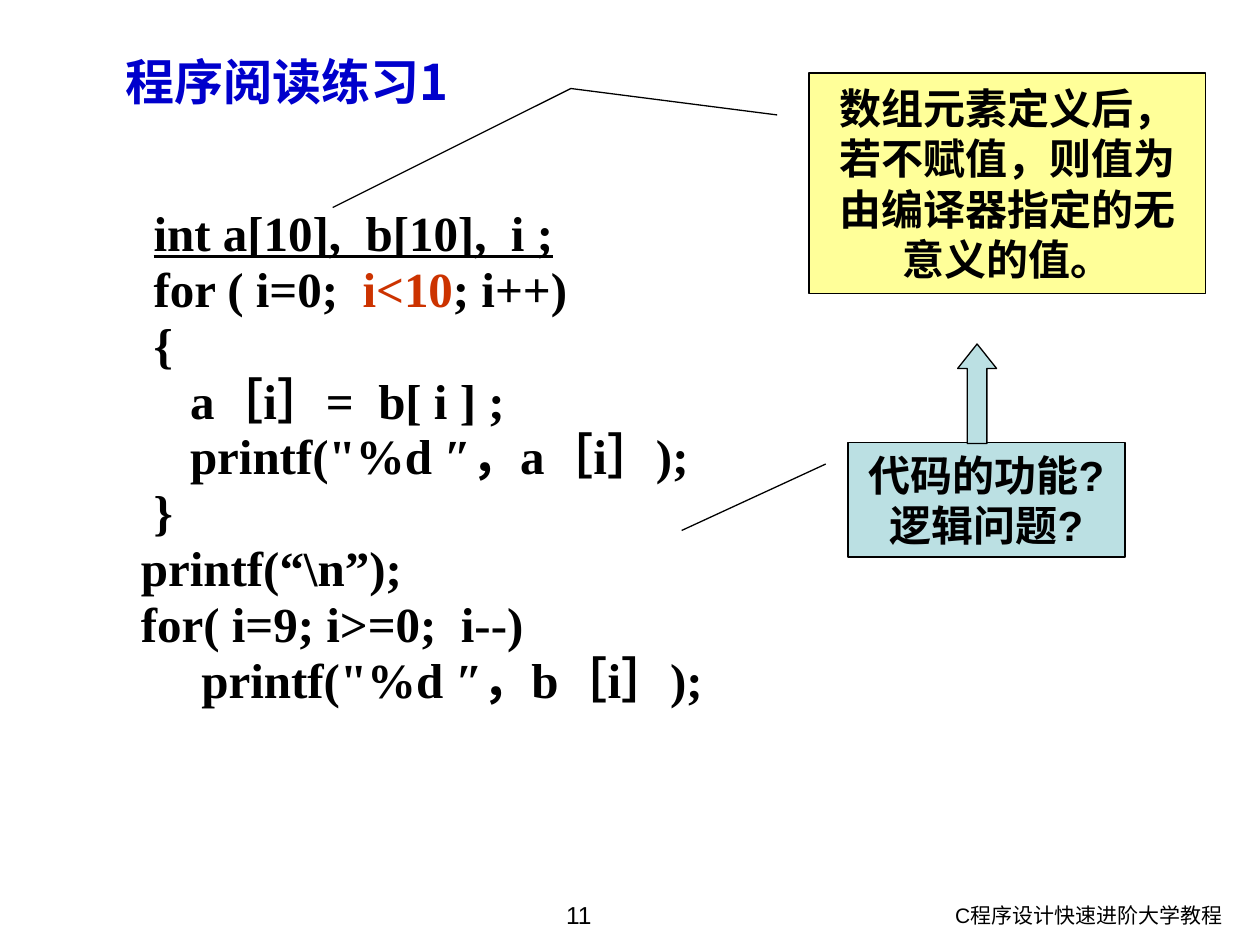
from lxml import etree
from pptx import Presentation
from pptx.dml.color import RGBColor
from pptx.enum.shapes import MSO_SHAPE
from pptx.enum.text import MSO_ANCHOR, PP_ALIGN
from pptx.oxml.ns import qn
from pptx.util import Inches, Pt

LEFT, CENTER, RIGHT, JUSTIFY = PP_ALIGN.LEFT, PP_ALIGN.CENTER, PP_ALIGN.RIGHT, PP_ALIGN.JUSTIFY
MIDDLE = MSO_ANCHOR.MIDDLE
CALLOUT, BENT_CALLOUT = MSO_SHAPE.LINE_CALLOUT_1, MSO_SHAPE.LINE_CALLOUT_2
UP_ARROW = MSO_SHAPE.UP_ARROW

COLORS = {
    "text": "000000",
    "title": "0000CC",
    "highlight": "CC3300",
    "question": "BBE0E3",
    "note": "FFFF99",
}
LATIN, CODE, CHINESE = "Arial", "Times New Roman", "Noto Sans CJK SC"

CODE_LINES = [
    (0.29, "int a[10],  b[10],  i ;"),
    (0.29, "for ( i=0;  |i<10|; i++)"),
    (0.29, "{"),
    (0.58, "a［i］=  b[ i ] ;"),
    (0.58, "printf(\"%d ″，a［i］);"),
    (0.29, "}"),
    (0.19, "printf(“\\n”);"),
    (0.19, "for( i=9; i>=0;  i--)"),
    (0.67, "printf(\"%d ″，b［i］);"),
]


def color(name):
    return RGBColor.from_string(COLORS[name])


def format_run(run, size, font, color_name="text", bold=False):
    run.font.size = Pt(size)
    run.font.name = font
    run.font.bold = bold
    run.font.color.rgb = color(color_name)
    east_asian = etree.Element(qn("a:ea"), typeface=CHINESE)
    run.font._element.find(qn("a:latin")).addnext(east_asian)


def write_text(shape, text, size, font, alignment, color_name="text", bold=False):
    shape.text_frame.word_wrap = True
    shape.text_frame.text = text
    for paragraph in shape.text_frame.paragraphs:
        paragraph.alignment = alignment
        for run in paragraph.runs:
            format_run(run, size, font, color_name, bold)


def add_label(slide, box, *text_style):
    label = slide.shapes.add_textbox(*map(Inches, box))
    write_text(label, *text_style)
    return label


def add_outlined_shape(slide, kind, box, fill, adjustments):
    shape = slide.shapes.add_shape(kind, *map(Inches, box))
    shape.shadow.inherit = False
    shape.fill.solid()
    shape.fill.fore_color.rgb = color(fill)
    shape.line.color.rgb = color("text")
    shape.line.width = Pt(0.75)
    for index, value in enumerate(adjustments):
        shape.adjustments[index] = value
    return shape


def add_callout(slide, kind, box, fill, adjustments, text):
    callout = add_outlined_shape(slide, kind, box, fill, adjustments)
    callout.text_frame.vertical_anchor = MIDDLE
    write_text(callout, text, 24, LATIN, CENTER, "text", True)


def add_code(slide, box):
    text_frame = slide.shapes.add_textbox(*map(Inches, box)).text_frame
    text_frame.word_wrap = True
    text_frame.margin_top = Inches(0.49)
    text_frame.margin_right = 0
    text_frame.text = "\n".join(line.replace("|", "") for _, line in CODE_LINES)
    for paragraph, (indent, line) in zip(text_frame.paragraphs, CODE_LINES):
        paragraph.alignment = JUSTIFY
        paragraph.line_spacing = 0.95
        paragraph._p.get_or_add_pPr().set("marL", str(Inches(indent)))
        parts = line.split("|")
        paragraph.runs[0].text = parts[0]
        for part in parts[1:]:
            paragraph.add_run().text = part
        for index, run in enumerate(paragraph.runs):
            format_run(run, 28, CODE, "highlight" if index == 1 else "text", True)
    text_frame.paragraphs[0].runs[0].font.underline = True


def main():
    presentation = Presentation()
    presentation.slide_width = Inches(10)
    presentation.slide_height = Inches(7.5)
    slide = presentation.slides.add_slide(presentation.slide_layouts[6])

    add_label(slide, (6.57, 7.11, 3.23, 0.39), "C程序设计快速进阶大学教程", 12, LATIN, RIGHT)
    add_label(slide, (3.43, 7.09, 2.33, 0.41), "11", 14, LATIN, CENTER)
    add_code(slide, (0.83, 1.15, 5.42, 5.07))
    title = add_label(slide, (0.9, 0.36, 9.73, 1.26), "程序阅读练习1",
                      28, CHINESE, LEFT, "title", True)
    title.text_frame.paragraphs[0].space_before = Pt(1.8)

    add_callout(slide, CALLOUT, (6.73, 3.51, 2.2, 0.91), "question",
                (0.19, -0.08, 0.77, -0.6), "代码的功能?\n逻辑问题?")
    add_outlined_shape(slide, UP_ARROW, (7.6, 2.73, 0.31, 0.79), "question", (0.5, 0.63))
    add_callout(slide, BENT_CALLOUT, (6.42, 0.58, 3.15, 1.75), "note",
                (0.19, -0.08, 0.07, -0.6, 0.61, -1.2),
                "数组元素定义后，若不赋值，则值为由编译器指定的无意义的值。")

    presentation.save("out.pptx")


if __name__ == "__main__":
    main()
